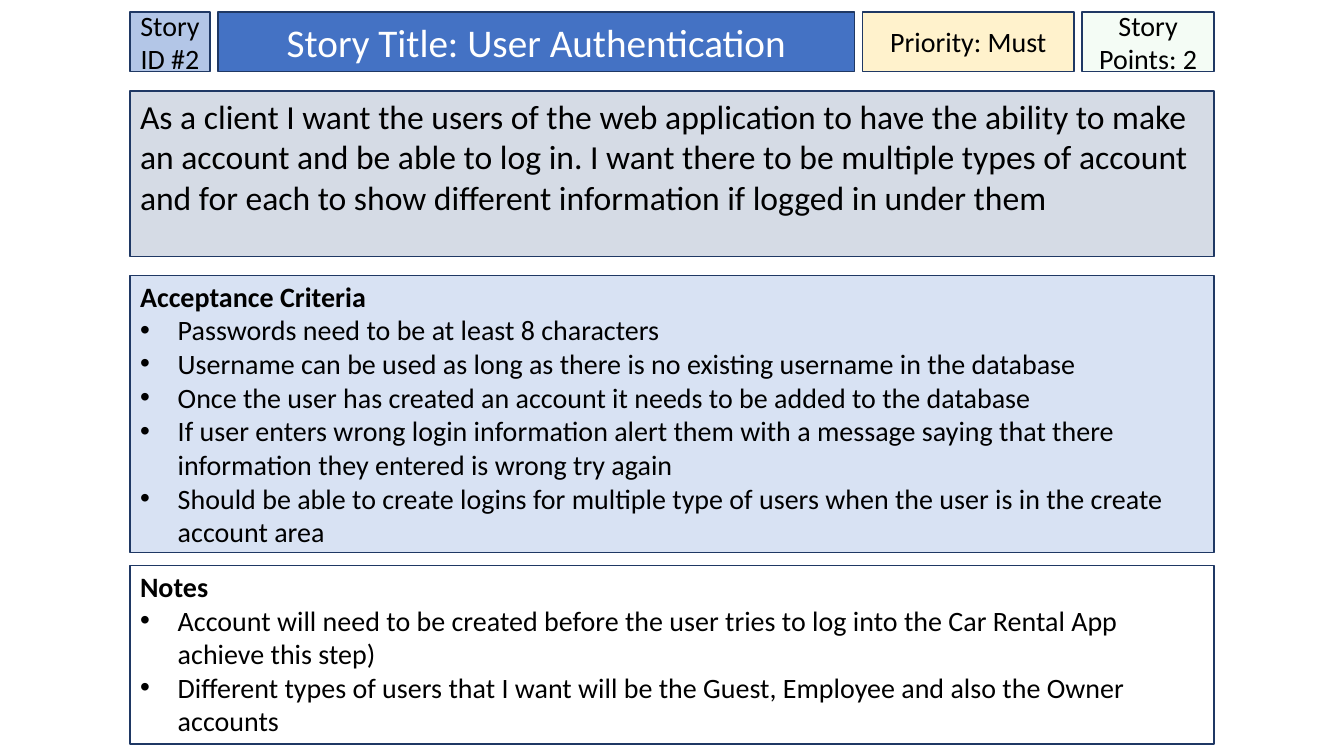
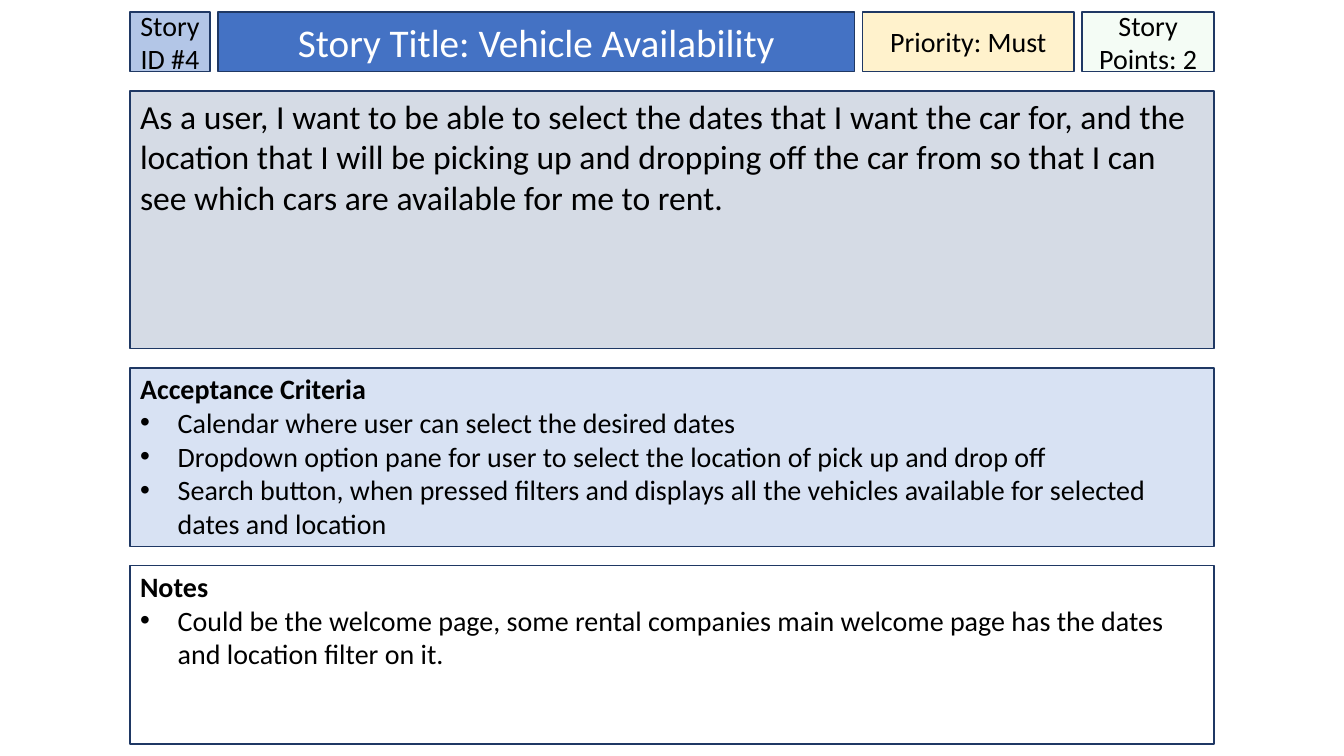
from dataclasses import dataclass

import lxml.etree
import pptx
import pptx.dml.color
import pptx.enum.shapes
import pptx.enum.text
import pptx.oxml
import pptx.oxml.ns
import pptx.util

Cm = pptx.util.Cm
Pt = pptx.util.Pt
RGBColor = pptx.dml.color.RGBColor
PP_ALIGN = pptx.enum.text.PP_ALIGN
MSO_ANCHOR = pptx.enum.text.MSO_ANCHOR
qn = pptx.oxml.ns.qn


@dataclass(frozen=True)
class Theme:
    font: str = "Calibri"
    text: str = "000000"
    title_text: str = "FFFFFF"
    outline: str = "1F3864"
    id_fill: str = "B3C6E7"
    title_fill: str = "4472C4"
    priority_fill: str = "FFF2CC"
    points_fill: str = "CCF0CD"
    story_fill: str = "D5DBE5"
    criteria_fill: str = "D8E2F3"
    remarks_fill: str = "FFFFFF"
    title_size: int = 28
    story_size: int = 24
    body_size: int = 20


theme = Theme()

# Lengths in centimetres
LEFT = 3.28
HEADER_TOP, HEADER_HEIGHT, HEADER_GAP = 0.3, 1.5, 0.2
ID_WIDTH, TITLE_WIDTH, PRIORITY_WIDTH, POINTS_WIDTH = 2.01, 16.05, 5.33, 3.33
CARD_WIDTH = ID_WIDTH + TITLE_WIDTH + PRIORITY_WIDTH + POINTS_WIDTH + 3 * HEADER_GAP
STORY_TOP, CARD_GAP = 2.29, 0.48
REMARKS_TOP, REMARKS_HEIGHT = 14.25, 4.5
SIDE_INSET, EDGE_INSET, LIST_TOP_INSET = 0.25, 0.13, 0.1
BULLET_INDENT = 0.95

stories = [
    {
        "id": "Story ID #2",
        "title": "Story Title: User Authentication",
        "priority": "Priority: Must",
        "points": "Story Points: 2",
        "story": "As a client I want the users of the web application to have the ability to "
                 "make an account and be able to log in. I want there to be multiple types of "
                 "account and for each to show different information if logged in under them",
        "story_height": 4.17,
        "criteria": [
            "Passwords need to be at least 8 characters",
            "Username can be used as long as there is no existing username in the database",
            "Once the user has created an account it needs to be added to the database",
            "If user enters wrong login information alert them with a message saying that "
            "there information they entered is wrong try again",
            "Should be able to create logins for multiple type of users when the user is in "
            "the create account area",
        ],
        "criteria_height": 6.99,
        "remarks": [
            "Account will need to be created before the user tries to log into the Car Rental "
            "App achieve this step)",
            "Different types of users that I want will be the Guest, Employee and also the "
            "Owner accounts",
        ],
    },
    {
        "id": "Story ID #4",
        "title": "Story Title: Vehicle Availability",
        "priority": "Priority: Must",
        "points": "Story Points: 2",
        "story": "As a user, I want to be able to select the dates that I want the car for, and "
                 "the location that I will be picking up and dropping off the car from so that "
                 "I can see which cars are available for me to rent.",
        "story_height": 6.5,
        "criteria": [
            "Calendar where user can select the desired dates",
            "Dropdown option pane for user to select the location of pick up and drop off",
            "Search button, when pressed filters and displays all the vehicles available for "
            "selected dates and location",
        ],
        "criteria_height": 4.5,
        "remarks": [
            "Could be the welcome page, some rental companies main welcome page has the dates "
            "and location filter on it.",
        ],
    },
]


def add_box(page, left, top, width, height, fill, side_inset=SIDE_INSET,
            top_inset=EDGE_INSET, anchor=MSO_ANCHOR.TOP):
    box = page.shapes.add_shape(pptx.enum.shapes.MSO_SHAPE.RECTANGLE,
                                Cm(left), Cm(top), Cm(width), Cm(height))
    box.shadow.inherit = False
    box.fill.solid()
    box.fill.fore_color.rgb = RGBColor.from_string(fill)
    box.line.color.rgb = RGBColor.from_string(theme.outline)
    box.line.width = Pt(1)
    frame = box.text_frame
    frame.word_wrap = True
    frame.vertical_anchor = anchor
    frame.margin_left = frame.margin_right = Cm(side_inset)
    frame.margin_top, frame.margin_bottom = Cm(top_inset), Cm(EDGE_INSET)
    return box


def write_para(box, text, size, color=theme.text, align=PP_ALIGN.LEFT, bold=False, bullet=False):
    """Fill the empty first paragraph of the box, or append a new one."""
    frame = box.text_frame
    para = frame.add_paragraph() if frame.text else frame.paragraphs[0]
    para.text = text
    para.alignment = align
    if bullet:
        properties = para._p.get_or_add_pPr()
        properties.set("marL", str(Cm(BULLET_INDENT)))
        properties.set("indent", str(-Cm(BULLET_INDENT)))
        bullet_color = lxml.etree.SubElement(properties, qn("a:buClr"))
        lxml.etree.SubElement(bullet_color, qn("a:srgbClr"), val=color)
        lxml.etree.SubElement(properties, qn("a:buFont"), typeface="Arial")
        lxml.etree.SubElement(properties, qn("a:buChar"), char="•")
    para.font.name = theme.font
    para.font.size = Pt(size)
    para.font.bold = bold
    para.font.color.rgb = RGBColor.from_string(color)


deck = pptx.Presentation()
deck.slide_width, deck.slide_height = Cm(33.87), Cm(19.05)

for story in stories:
    page = deck.slides.add_slide(deck.slide_layouts[6])

    header = [
        ("id", ID_WIDTH, theme.id_fill, 0, theme.body_size, theme.text),
        ("title", TITLE_WIDTH, theme.title_fill, SIDE_INSET, theme.title_size, theme.title_text),
        ("priority", PRIORITY_WIDTH, theme.priority_fill, 0, theme.body_size, theme.text),
        ("points", POINTS_WIDTH, theme.points_fill, 0, theme.body_size, theme.text),
    ]
    left = LEFT
    for field, width, fill, side_inset, size, color in header:
        box = add_box(page, left, HEADER_TOP, width, HEADER_HEIGHT, fill,
                      side_inset, anchor=MSO_ANCHOR.MIDDLE)
        write_para(box, story[field], size, color, PP_ALIGN.CENTER)
        if field == "points":
            fill_color = box._element.spPr.find(qn("a:solidFill")).find(qn("a:srgbClr"))
            lxml.etree.SubElement(fill_color, qn("a:alpha"), val="20000")
        left += width + HEADER_GAP

    box = add_box(page, LEFT, STORY_TOP, CARD_WIDTH, story["story_height"], theme.story_fill)
    write_para(box, story["story"], theme.story_size)

    criteria_top = STORY_TOP + story["story_height"] + CARD_GAP
    lists = [
        ("Acceptance Criteria", story["criteria"], criteria_top, story["criteria_height"],
         theme.criteria_fill),
        ("Notes", story["remarks"], REMARKS_TOP, REMARKS_HEIGHT, theme.remarks_fill),
    ]
    for heading, items, top, height, fill in lists:
        box = add_box(page, LEFT, top, CARD_WIDTH, height, fill, top_inset=LIST_TOP_INSET)
        write_para(box, heading, theme.body_size, bold=True)
        for item in items:
            write_para(box, item, theme.body_size, bullet=True)

deck.save("out.pptx")
